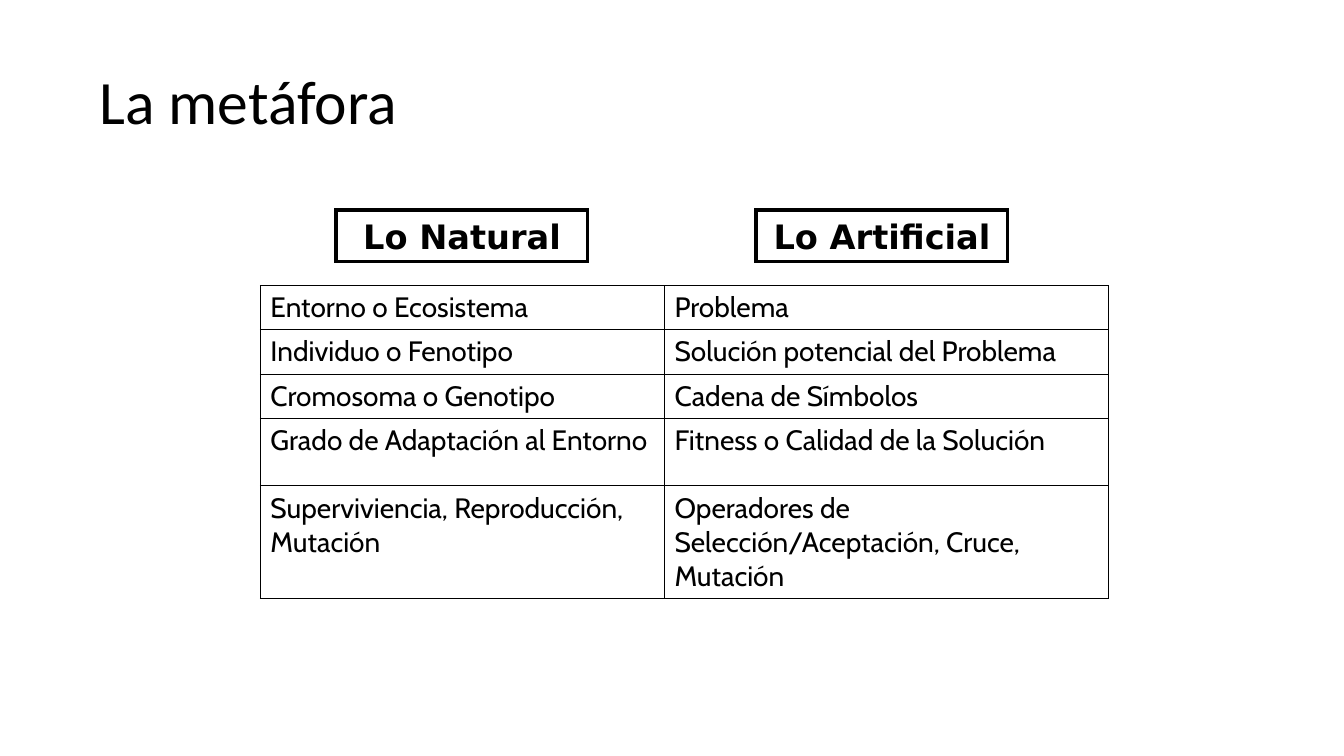
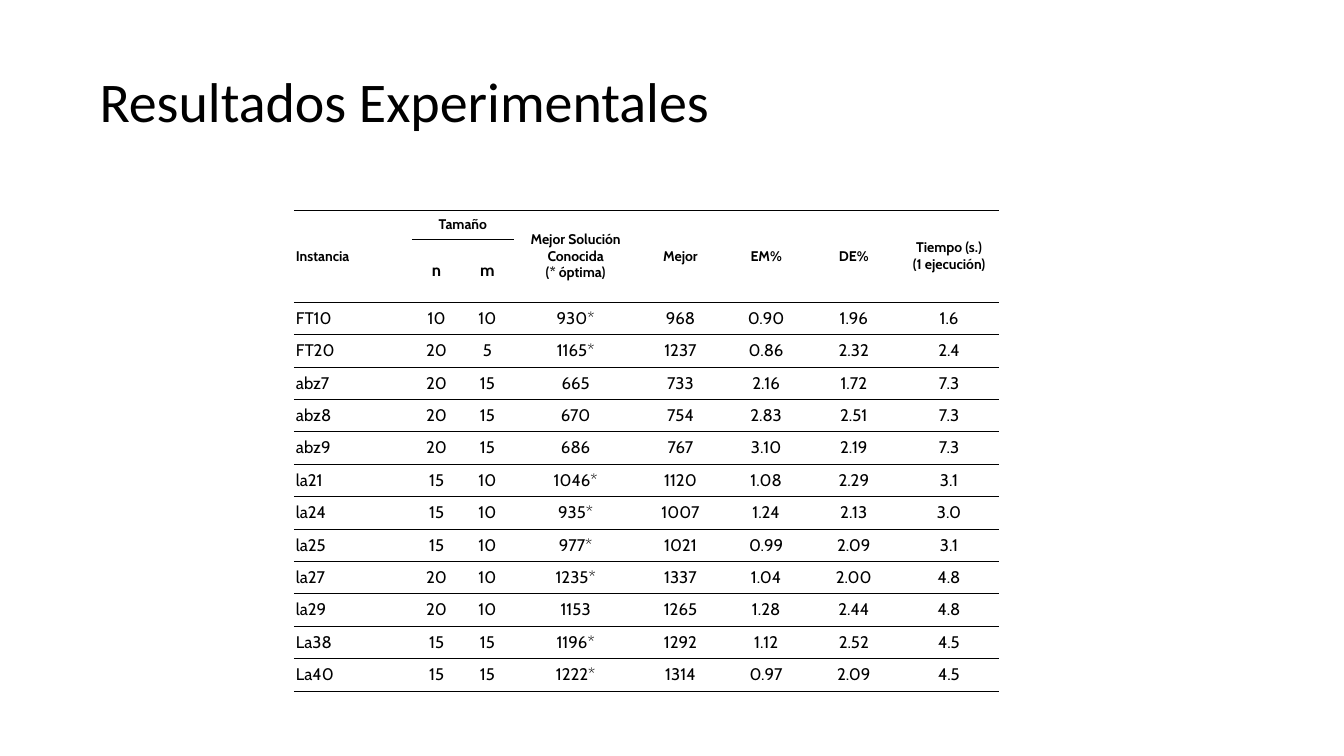
from lxml.etree import SubElement
from pptx import Presentation
from pptx.dml.color import RGBColor
from pptx.enum.shapes import MSO_CONNECTOR, MSO_SHAPE
from pptx.enum.text import MSO_ANCHOR, PP_ALIGN
from pptx.oxml.ns import qn
from pptx.util import Emu, Inches, Pt

BLACK = RGBColor(0, 0, 0)
WIDE, HIGH = Emu(12192000), Emu(6858000)
UNIT = HIGH / 18
PLAIN = "{2D5ABB26-0587-4C30-8999-92F81FD0307C}"
CENTER, LEFT = PP_ALIGN.CENTER, PP_ALIGN.LEFT
MIDDLE = MSO_ANCHOR.MIDDLE

TITLE = (2.13, 1.26, 28, 2.45)
PAIRS = [
    ("Entorno o Ecosistema", "Problema"),
    ("Individuo o Fenotipo", "Solución potencial del Problema"),
    ("Cromosoma o Genotipo", "Cadena de Símbolos"),
    ("Grado de Adaptación al Entorno", "Fitness o Calidad de la Solución"),
    ("Superviviencia, Reproducción, Mutación",
     "Operadores de Selección/Aceptación, Cruce, Mutación"),
]
HEADS = [
    ("Instancia", "Tamaño", "", "Mejor Solución\nConocida\n(* óptima)",
     "Mejor", "EM%", "DE%", "Tiempo (s.)\n(1 ejecución)"),
    ("", "n", "m", "", "", "", "", ""),
]
RUNS = [
    ("FT10", "10", "10", "930*", "968", "0.90", "1.96", "1.6"),
    ("FT20", "20", "5", "1165*", "1237", "0.86", "2.32", "2.4"),
    ("abz7", "20", "15", "665", "733", "2.16", "1.72", "7.3"),
    ("abz8", "20", "15", "670", "754", "2.83", "2.51", "7.3"),
    ("abz9", "20", "15", "686", "767", "3.10", "2.19", "7.3"),
    ("la21", "15", "10", "1046*", "1120", "1.08", "2.29", "3.1"),
    ("la24", "15", "10", "935*", "1007", "1.24", "2.13", "3.0"),
    ("la25", "15", "10", "977*", "1021", "0.99", "2.09", "3.1"),
    ("la27", "20", "10", "1235*", "1337", "1.04", "2.00", "4.8"),
    ("la29", "20", "10", "1153", "1265", "1.28", "2.44", "4.8"),
    ("La38", "15", "15", "1196*", "1292", "1.12", "2.52", "4.5"),
    ("La40", "15", "15", "1222*", "1314", "0.97", "2.09", "4.5"),
]


def grid(box):
    return [Emu(round(n * UNIT)) for n in box]


def write(frame, text, font="Cabin", size=12, bold=False, align=LEFT, space=None):
    frame.text = text
    for para in frame.paragraphs:
        para.alignment = align
        para.line_spacing = space
        for run in para.runs:
            run.font.name = font
            run.font.size = Pt(size)
            run.font.bold = bold
            run.font.color.rgb = BLACK


def add_page(deck, text, size):
    page = deck.slides.add_slide(deck.slide_layouts[5])
    title = page.shapes.title
    title.left, title.top, title.width, title.height = grid(TITLE)
    title.text_frame.vertical_anchor = MIDDLE
    write(title.text_frame, text, font="Calibri", size=size, space=0.9)
    return page


def add_label(page, box, text):
    label = page.shapes.add_shape(MSO_SHAPE.RECTANGLE, *grid(box))
    label.shadow.inherit = False
    label.fill.background()
    label.line.color.rgb = BLACK
    label.line.width = Pt(2.25)
    SubElement(label.line._get_or_add_ln(), qn("a:miter"), lim="800000")
    label.text_frame.word_wrap = True
    write(label.text_frame, text, font="DejaVu Sans", size=24, bold=True, align=CENTER)


def add_dot(page, spot):
    dot = page.shapes.add_connector(MSO_CONNECTOR.STRAIGHT, *grid(spot + spot))
    dot.line.color.rgb = BLACK
    dot.line.width = Pt(0.75)
    SubElement(dot._element.spPr, qn("a:effectLst"))


def add_edges(cell, sides, width):
    props = cell._tc.get_or_add_tcPr()
    for spot, side in enumerate("LRTB"):
        edge = props.makeelement(qn("a:ln" + side), {"w": str(Pt(width))})
        props.insert(spot, edge)
        if side in sides:
            fill = SubElement(edge, qn("a:solidFill"))
            SubElement(fill, qn("a:srgbClr"), val=str(BLACK))
        else:
            SubElement(edge, qn("a:noFill"))


def add_grid(page, box, cols, rows, sides, width):
    left, top, wide, high = grid(box)
    frame = page.shapes.add_table(len(rows), len(cols), left, top, wide, high)
    table = frame.table
    table.first_row = table.horz_banding = False
    table._tbl.tblPr.find(qn("a:tableStyleId")).text = PLAIN
    for col, part in zip(table.columns, cols):
        col.width = Emu(round(wide * part / sum(cols)))
    for row, part in zip(table.rows, rows):
        row.height = Emu(round(high * part / sum(rows)))
    for cell in table.iter_cells():
        cell.fill.background()
        add_edges(cell, sides, width)
    return table


def add_pairs(page, box):
    table = add_grid(page, box, (4.01, 4.41), (0.43, 0.43, 0.43, 0.67, 1.11), "LRTB", 1)
    for r, pair in enumerate(PAIRS):
        for c, text in enumerate(pair):
            write(table.cell(r, c).text_frame, text, size=20)


def add_runs(page, box):
    cols = (1.17, 0.49, 0.52, 1.23, 0.85, 0.85, 0.89, 1)
    rows = [0.29, 0.62] + [0.32] * len(RUNS)
    table = add_grid(page, box, cols, rows, "TB", 0.25)
    table.cell(0, 1).merge(table.cell(0, 2))
    for c in (0, *range(3, len(cols))):
        table.cell(0, c).merge(table.cell(1, c))
    for r, line in enumerate(HEADS + RUNS):
        for c, text in enumerate(line):
            cell = table.cell(r, c)
            cell.margin_left = cell.margin_right = Inches(0.02)
            cell.margin_top = cell.margin_bottom = Inches(0.05)
            cell.vertical_anchor = MIDDLE
            if not cell.is_spanned:
                write(cell.text_frame, text, size=12 if r else 10,
                      bold=r < len(HEADS), align=CENTER if c else LEFT)


def main():
    deck = Presentation()
    deck.slide_width, deck.slide_height = WIDE, HIGH
    page = add_page(deck, "La metáfora", 44)
    add_pairs(page, (6.2, 6.8, 20.2, 7.37))
    for c, text in enumerate(("Lo Natural", "Lo Artificial")):
        add_label(page, (8 + 10 * c, 5, 6, 1.22), text)
    page = add_page(deck, "Resultados Experimentales", 40)
    add_dot(page, (9.5, 2.83))
    add_runs(page, (7, 5, 16.8, 11.45))
    deck.save("out.pptx")


if __name__ == "__main__":
    main()
